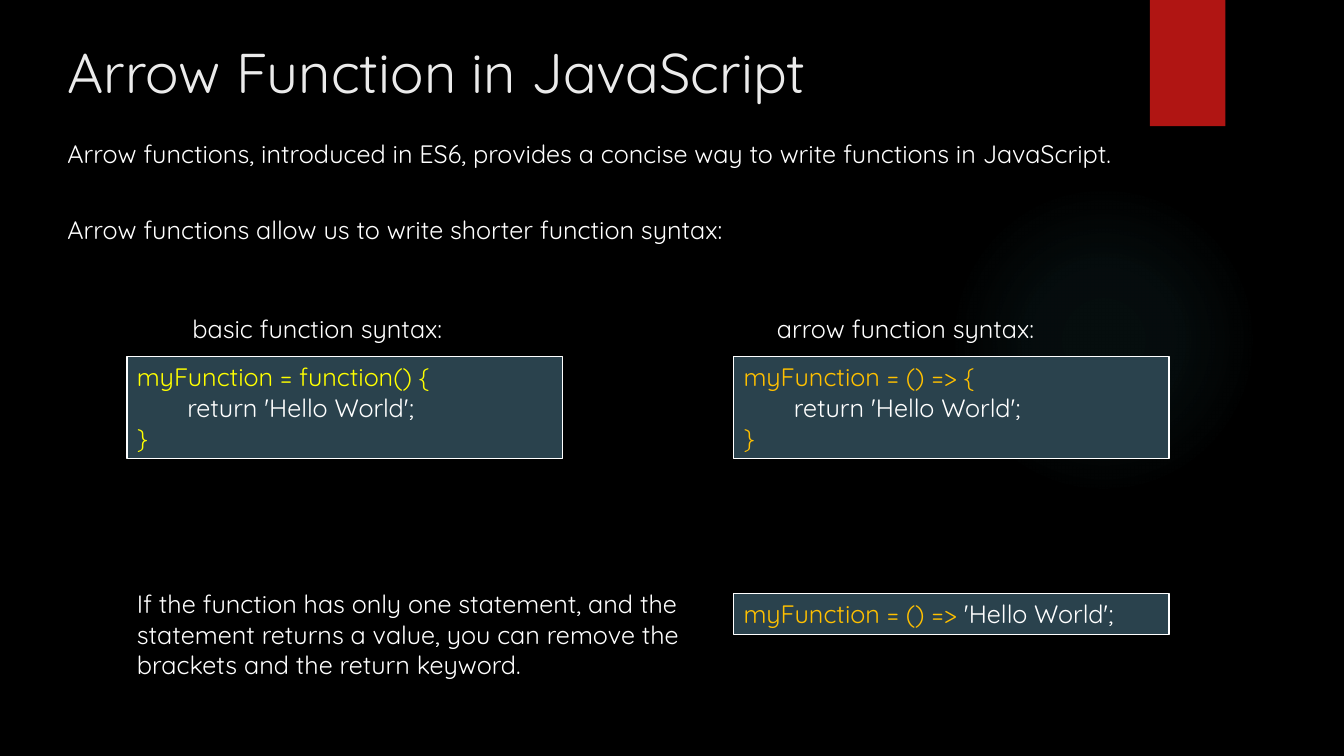
import lxml.etree
import pptx
import pptx.dml.color
import pptx.enum.shapes
import pptx.enum.text
import pptx.oxml.ns
import pptx.util

Cm = pptx.util.Cm
Pt = pptx.util.Pt
SHAPE = pptx.enum.shapes.MSO_SHAPE
ALIGN = pptx.enum.text.PP_ALIGN
ANCHOR = pptx.enum.text.MSO_ANCHOR
FONT = "Quicksand"
WHITE = "FFFFFF"
YELLOW = "FFFF00"
AMBER = "FFC000"
LEFT, RIGHT = 3.2, 18.49
TOP = 8.99


def color(code):
    return pptx.dml.color.RGBColor.from_string(code)


def node(parent, tag, **attrs):
    name = pptx.oxml.ns.qn(tag)
    return lxml.etree.SubElement(parent, name, attrs)


def style(run, code, size=18):
    run.font.name = FONT
    run.font.size = Pt(size)
    run.font.color.rgb = color(code)


def shape(slide, kind, box, fill):
    item = slide.shapes.add_shape(kind, *map(Cm, box))
    item.shadow.inherit = False
    item.fill.solid()
    item.fill.fore_color.rgb = color(fill)
    item.line.fill.background()
    return item


def glow(slide, box, code, stops):
    item = shape(slide, SHAPE.OVAL, box, code)
    props = item.fill._xPr
    solid = props.find(pptx.oxml.ns.qn("a:solidFill"))
    grad = node(props, "a:gradFill", rotWithShape="1")
    props.replace(solid, grad)
    steps = node(grad, "a:gsLst")
    for place, alpha in stops:
        stop = node(steps, "a:gs", pos=str(place * 1000))
        tint = node(stop, "a:srgbClr", val=code)
        node(tint, "a:alpha", val=str(alpha * 1000))
    shade = node(grad, "a:path", path="circle")
    node(shade, "a:fillToRect", l="50000", t="50000", r="50000", b="50000")


def label(slide, box, text, size=18, code=WHITE, align=ALIGN.LEFT, anchor=ANCHOR.TOP):
    frame = slide.shapes.add_textbox(*map(Cm, box)).text_frame
    frame.word_wrap = True
    frame.vertical_anchor = anchor
    frame.text = text
    para = frame.paragraphs[0]
    para.alignment = align
    style(para.runs[0], code, size)


def listing(slide, left, top, height, lines):
    item = shape(slide, SHAPE.RECTANGLE, (left, top, 10.97, height), "2A424D")
    item.line.color.rgb = color(WHITE)
    item.line.width = Pt(1)
    frame = item.text_frame
    frame.word_wrap = True
    frame.vertical_anchor = ANCHOR.TOP
    for index, parts in enumerate(lines):
        para = frame.add_paragraph() if index else frame.paragraphs[0]
        para.alignment = ALIGN.LEFT
        if parts[0][0].startswith("\t"):
            tabs = node(para._p.get_or_add_pPr(), "a:tabLst")
            node(tabs, "a:tab", pos=str(Cm(1.27)), algn="l")
        for text, code in parts:
            run = para.add_run()
            run.text = text
            style(run, code)


def sample(slide, left, inset, title, head, code):
    label(slide, (left + inset, 7.77, 7.65, 1.02), title)
    lines = [[(head, code)], [("\treturn 'Hello World';", WHITE)], [("}", code)]]
    listing(slide, left, TOP, 2.57, lines)


def main():
    deck = pptx.Presentation()
    deck.slide_width, deck.slide_height = Cm(33.87), Cm(19.05)
    slide = deck.slides.add_slide(deck.slide_layouts[6])
    back = slide.background.fill
    back.solid()
    back.fore_color.rgb = color("000000")

    glow(slide, (23.9, 4.65, 7.82, 7.82), "50B9C1", [(0, 7), (36, 6), (69, 0)])
    shape(slide, SHAPE.RECTANGLE, (28.98, 0, 1.9, 3.18), "B01513")
    label(slide, (1.45, 0.74, 27.33, 2.08), "Arrow Function in JavaScript",
          40, "EBEBEB", anchor=ANCHOR.MIDDLE)
    intro = (
        "Arrow functions, introduced in ES6, provides a concise way to write functions in JavaScript.",
        "Arrow functions allow us to write shorter function syntax:",
    )
    for index, text in enumerate(intro):
        label(slide, (1.45, 3.35 + index * 1.93, 31.4, 1.02), text, align=ALIGN.JUSTIFY)

    sample(slide, LEFT, 1.4, "basic function syntax:", "myFunction = function() {", YELLOW)
    sample(slide, RIGHT, 0.84, "arrow function syntax:", "myFunction = () => {", AMBER)

    label(slide, (LEFT, 14.71, 14.76, 2.57),
          "If the function has only one statement, and the statement returns a value, "
          "you can remove the brackets and the return keyword.")
    listing(slide, RIGHT, 14.96, 1.03,
            [[("myFunction = () => ", AMBER), ("'Hello World';", WHITE)]])
    deck.save("out.pptx")


if __name__ == "__main__":
    main()
